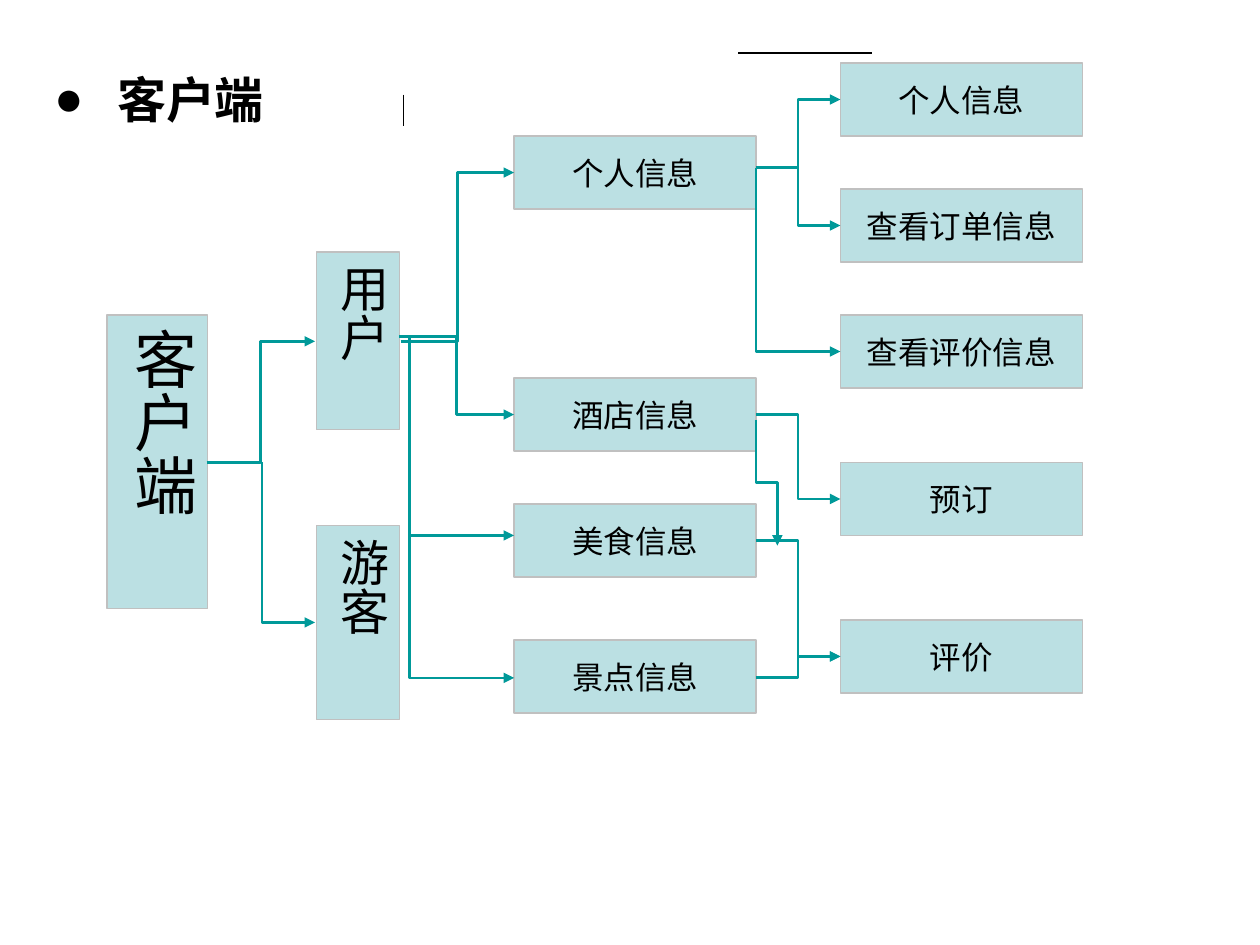
from lxml import etree
from pptx import Presentation
from pptx.dml.color import RGBColor
from pptx.enum import shapes, text
from pptx.oxml.ns import qn
from pptx.util import Inches, Pt

BLACK = RGBColor(0x00, 0x00, 0x00)
PALE_TEAL = RGBColor(0xBB, 0xE0, 0xE3)
SILVER = RGBColor(0xC0, 0xC0, 0xC0)
TEAL = RGBColor(0x00, 0x99, 0x99)

BOX_WIDTH, BOX_HEIGHT = 1.92, 0.58
MENU_LEFT, ACTION_LEFT = 4.08, 6.67
MENU_RIGHT = 6

MENUS = [("个人信息", 1.08), ("酒店信息", 3), ("美食信息", 4), ("景点信息", 5.08)]
ACTIONS = [("个人信息", 0.5), ("查看订单信息", 1.5), ("查看评价信息", 2.5),
           ("预订", 3.67), ("评价", 4.92)]
ROLES = [("客户端", 0.85, 2.5, 0.8, 2.33, 36),
         ("用户", 2.51, 2, 0.66, 1.41, 28),
         ("游客", 2.51, 4.17, 0.66, 1.54, 28)]
RULES = [((5.86, 0.42), (6.92, 0.42)), ((3.2, 0.75), (3.2, 1))]

SIDE_ARROWS = [((1.64, 3.67), (2.5, 2.71)),
               ((3.18, 2.71), (MENU_LEFT, 1.37)),
               ((3.17, 2.67), (MENU_LEFT, 3.29)),
               ((3.25, 4.25), (MENU_LEFT, 4.25)),
               ((MENU_RIGHT, 1.33), (ACTION_LEFT, 0.79)),
               ((MENU_RIGHT, 1.33), (ACTION_LEFT, 1.79)),
               ((MENU_RIGHT, 3.29), (ACTION_LEFT, 3.96)),
               ((MENU_RIGHT, 4.29), (ACTION_LEFT, 5.21)),
               ((MENU_RIGHT, 5.38), (ACTION_LEFT, 5.21))]
DOWN_ARROWS = [((2.08, 3.67), (2.5, 4.94), "bentConnector2"),
               ((3.25, 2.67), (MENU_LEFT, 5.38), "bentConnector2"),
               ((MENU_RIGHT, 1.33), (ACTION_LEFT, 2.79), "bentConnector2"),
               ((MENU_RIGHT, 3.33), (6.17, 4.33), "bentConnector3")]


class Diagram:
    font_name = "Arial"

    def __init__(self, page):
        self.page = page

    def style_text(self, para, size, align, bold=False):
        para.alignment = align
        para.font.name = self.font_name
        para.font.size = Pt(size)
        para.font.bold = bold
        para.font.color.rgb = BLACK

    def set_insets(self, frame, side, end):
        frame.margin_left = frame.margin_right = Inches(side)
        frame.margin_top = frame.margin_bottom = Inches(end)

    def title(self, words, left, top, width, height):
        box = self.page.shapes.title
        box.left, box.top = Inches(left), Inches(top)
        box.width, box.height = Inches(width), Inches(height)
        frame = box.text_frame
        frame.text = words
        frame.vertical_anchor = text.MSO_ANCHOR.TOP
        frame.auto_size = text.MSO_AUTO_SIZE.NONE
        self.set_insets(frame, 0.1, 0.05)
        para = frame.paragraphs[0]
        props = para._p.get_or_add_pPr()
        props.set("marL", str(Inches(0.5)))
        props.set("indent", str(Inches(-0.5)))
        etree.SubElement(props, qn("a:buFont")).set("typeface", self.font_name)
        etree.SubElement(props, qn("a:buChar")).set("char", "●")
        self.style_text(para, 28, text.PP_ALIGN.LEFT, bold=True)

    def box(self, words, left, top, width=BOX_WIDTH, height=BOX_HEIGHT, size=18):
        box = self.page.shapes.add_shape(
            shapes.MSO_SHAPE.RECTANGLE,
            Inches(left), Inches(top), Inches(width), Inches(height))
        box.shadow.inherit = False
        box.fill.solid()
        box.fill.fore_color.rgb = PALE_TEAL
        box.line.color.rgb = SILVER
        box.line.width = Pt(0.75)
        frame = box.text_frame
        frame.text = words
        frame.word_wrap = False
        frame.vertical_anchor = text.MSO_ANCHOR.MIDDLE
        self.set_insets(frame, 0.1, 0.05)
        self.style_text(frame.paragraphs[0], size, text.PP_ALIGN.CENTER)
        return box

    def vertical_box(self, words, left, top, width, height, size):
        frame = self.box(words, left, top, width, height, size).text_frame
        frame.word_wrap = True
        frame.vertical_anchor = text.MSO_ANCHOR.TOP
        self.set_insets(frame, 0.05, 0.1)
        frame._txBody.bodyPr.set("vert", "eaVert")

    def connector(self, kind, start, end, color, width):
        line = self.page.shapes.add_connector(
            kind, *(Inches(value) for value in (*start, *end)))
        line.line.color.rgb = color
        line.line.width = Pt(width)
        etree.SubElement(line._element.spPr, qn("a:effectLst"))
        return line

    def rule(self, start, end):
        self.connector(shapes.MSO_CONNECTOR.STRAIGHT, start, end, BLACK, 0.75)

    def side_arrow(self, start, end):
        arrow = self.connector(shapes.MSO_CONNECTOR.ELBOW, start, end, TEAL, 1.5)
        stroke = arrow.line._get_or_add_ln()
        etree.SubElement(stroke, qn("a:tailEnd")).set("type", "triangle")
        return arrow

    def down_arrow(self, start, end, preset):
        middle_x, middle_y = (start[0] + end[0]) / 2, (start[1] + end[1]) / 2
        half_x, half_y = (end[0] - start[0]) / 2, (end[1] - start[1]) / 2
        arrow = self.side_arrow((middle_x + half_y, middle_y - half_x),
                                (middle_x - half_y, middle_y + half_x))
        props = arrow._element.spPr
        props.find(qn("a:xfrm")).set("rot", str(270 * 60000))
        props.find(qn("a:prstGeom")).set("prst", preset)


def main():
    deck = Presentation()
    deck.slide_width, deck.slide_height = Inches(10), Inches(7.5)
    diagram = Diagram(deck.slides.add_slide(deck.slide_layouts[5]))
    diagram.title("客户端", 0.33, 0.5, 2.69, 0.57)
    for start, end in RULES:
        diagram.rule(start, end)
    for role in ROLES:
        diagram.vertical_box(*role)
    for left, column in ((MENU_LEFT, MENUS), (ACTION_LEFT, ACTIONS)):
        for words, top in column:
            diagram.box(words, left, top)
    for start, end in SIDE_ARROWS:
        diagram.side_arrow(start, end)
    for start, end, preset in DOWN_ARROWS:
        diagram.down_arrow(start, end, preset)
    deck.save("out.pptx")


if __name__ == "__main__":
    main()
